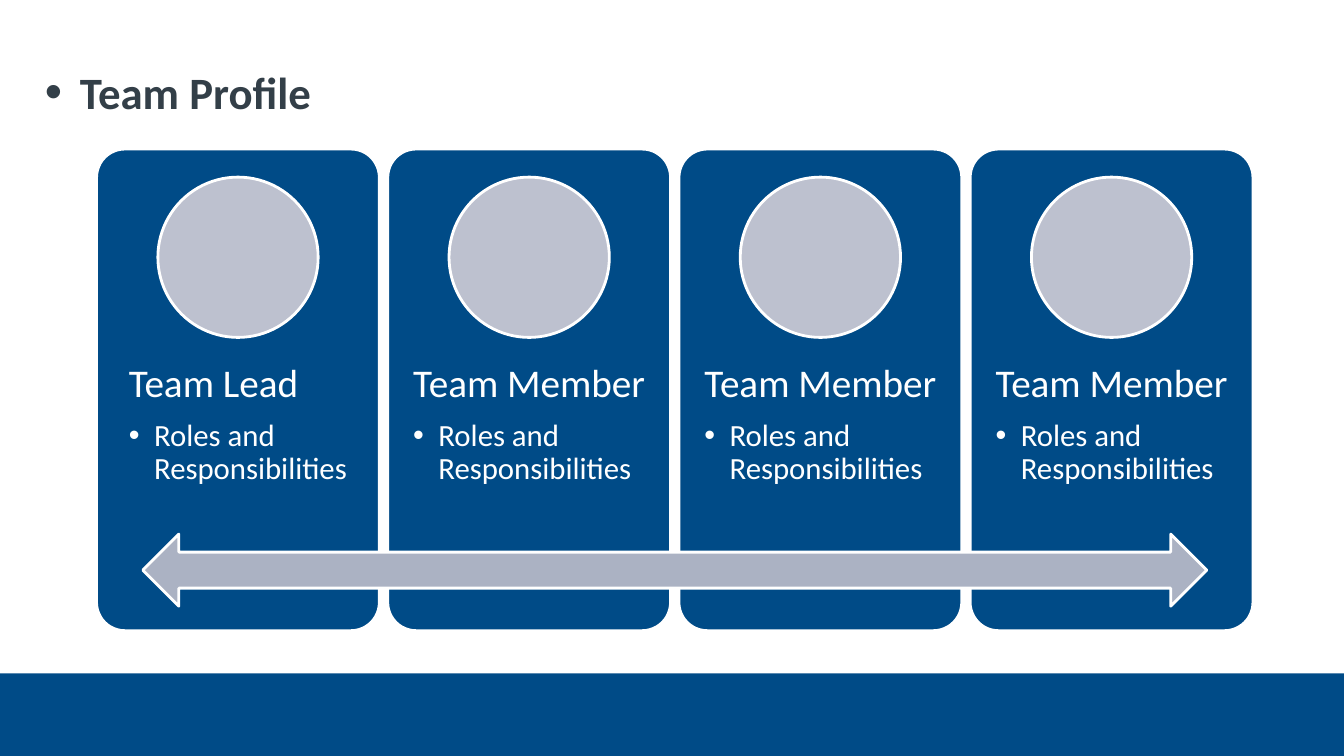
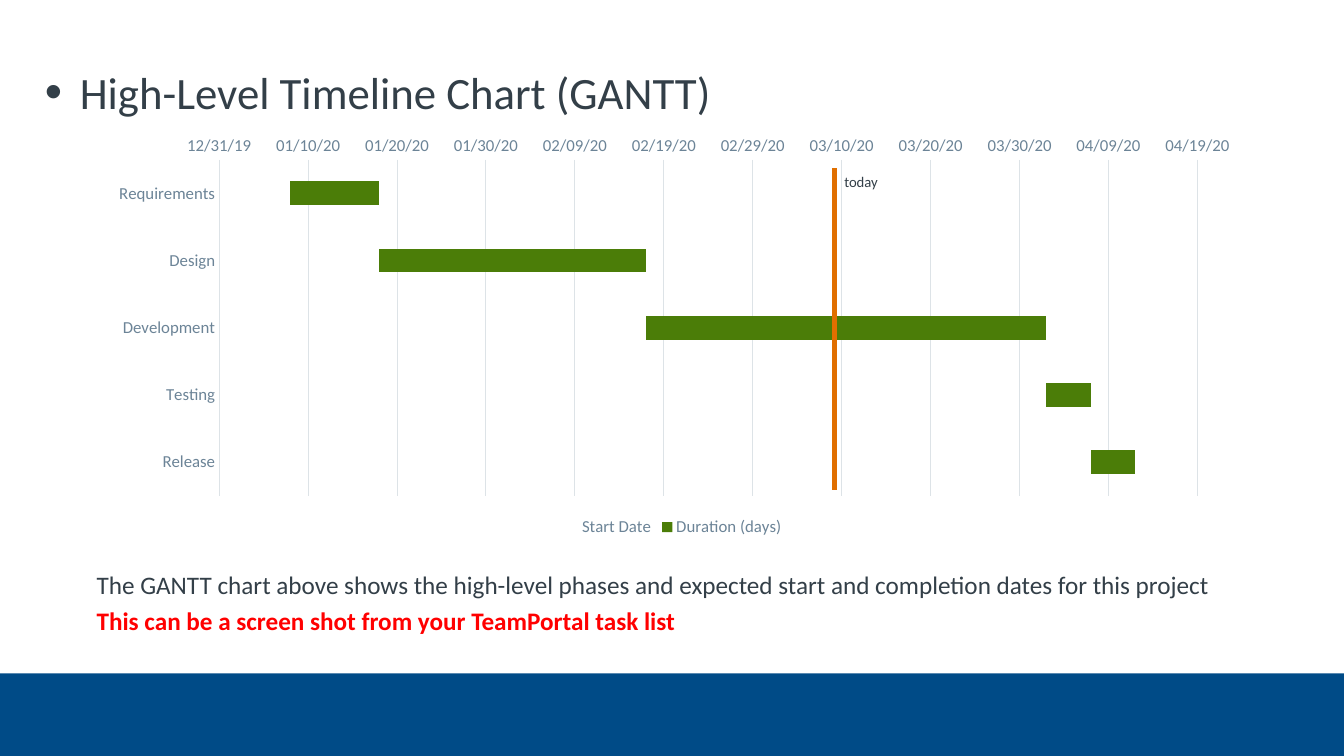
"""Build a team profile slide and a timeline slide."""
import lxml.etree
import pptx
import pptx.chart.data
import pptx.dml.color
import pptx.enum.chart
import pptx.enum.shapes
import pptx.enum.text
import pptx.oxml.ns
import pptx.util

Pt = pptx.util.Pt
RGBColor = pptx.dml.color.RGBColor
qn = pptx.oxml.ns.qn
SHAPES = pptx.enum.shapes.MSO_SHAPE

BLUE = RGBColor(0x00, 0x4B, 0x87)
WHITE = RGBColor(0xFF, 0xFF, 0xFF)
INK = RGBColor(0x33, 0x3F, 0x48)
SILVER = RGBColor(0xBD, 0xC1, 0xCF)
ARROW_GREY = RGBColor(0xAB, 0xB2, 0xC3)
LABEL_GREY = RGBColor(0x6C, 0x84, 0x97)
GRID_GREY = RGBColor(0xDD, 0xE3, 0xE7)
GREEN = RGBColor(0x4B, 0x7D, 0x08)
ORANGE = RGBColor(0xE0, 0x6F, 0x00)
RED = RGBColor(0xFF, 0x00, 0x00)

FONT = "Calibri"
SLIDE_WIDTH, SLIDE_HEIGHT = 960, 540
CONTENT_LEFT, CONTENT_WIDTH = 69, 826
CARD_TOP, CARD_WIDTH, CARD_HEIGHT = 106.5, 202, 344
CIRCLE_SIZE, CIRCLE_TOP = 114.5, 126.5
ROLES = ["Team Lead", "Team Member", "Team Member", "Team Member"]

AXIS_START, AXIS_END, AXIS_STEP = 43830, 43940, 10
TASKS = [
    ("Requirements", 43838, 10),
    ("Design", 43848, 30),
    ("Development", 43878, 45),
    ("Testing", 43923, 5),
    ("Release", 43928, 5),
]


def points(*lengths):
    """Turn numbers into point lengths."""
    return [Pt(length) for length in lengths]


def style_font(font, size, color, bold=False):
    """Set the shared typeface with a size, colour and weight."""
    font.name = FONT
    font.size = Pt(size)
    font.color.rgb = color
    font.bold = bold


def add_run(paragraph, text, size, color, bold=False):
    """Add one left-aligned, formatted run to a paragraph."""
    paragraph.alignment = pptx.enum.text.PP_ALIGN.LEFT
    run = paragraph.add_run()
    run.text = text
    style_font(run.font, size, color, bold)


def set_bullet(paragraph, indent, percent=100):
    """Give a paragraph a hanging round bullet."""
    properties = paragraph._p.get_or_add_pPr()
    properties.set("marL", str(Pt(indent)))
    properties.set("indent", str(-Pt(indent)))
    for tag, name, value in (
        ("a:buSzPct", "val", str(percent * 1000)),
        ("a:buFont", "typeface", "Arial"),
        ("a:buChar", "char", "•"),
    ):
        lxml.etree.SubElement(properties, qn(tag)).set(name, value)


def prepare_frame(frame, inset=0):
    """Make a text frame wrap from the top with equal insets."""
    frame.word_wrap = True
    frame.auto_size = pptx.enum.text.MSO_AUTO_SIZE.NONE
    frame.vertical_anchor = pptx.enum.text.MSO_ANCHOR.TOP
    frame.margin_left = frame.margin_right = Pt(inset)
    frame.margin_top = frame.margin_bottom = Pt(inset)


def add_text_frame(slide, left, top, width, height, inset=0):
    """Add a text box and return its prepared frame."""
    frame = slide.shapes.add_textbox(*points(left, top, width, height)).text_frame
    prepare_frame(frame, inset)
    return frame


def add_block(slide, kind, left, top, width, height, fill, outlined=True):
    """Add a flat filled shape with an optional white outline."""
    shape = slide.shapes.add_shape(kind, *points(left, top, width, height))
    shape.shadow.inherit = False
    shape.fill.solid()
    shape.fill.fore_color.rgb = fill
    if outlined:
        shape.line.color.rgb = WHITE
        shape.line.width = Pt(2)
    else:
        shape.line.fill.background()
    return shape


def add_master_band(presentation, slide):
    """Place the bottom band on the master shared by all slides."""
    top = 481
    band = add_block(slide, SHAPES.RECTANGLE, 0, top, SLIDE_WIDTH,
                     SLIDE_HEIGHT - top, BLUE, outlined=False)
    presentation.slide_master.shapes.element.insert(2, band.element)


def add_titled_slide(presentation, text, bold=False):
    """Add a title-only slide with a bulleted title."""
    slide = presentation.slides.add_slide(presentation.slide_layouts[5])
    title = slide.shapes.title
    title.left, title.top, title.width, title.height = points(32, 46, 863, 45)
    prepare_frame(title.text_frame)
    paragraph = title.text_frame.paragraphs[0]
    add_run(paragraph, text, 32, INK, bold)
    set_bullet(paragraph, 25, 110)
    return slide


def add_card(slide, left, role):
    """Add a team card with a portrait circle, a role and its duties."""
    card = add_block(slide, SHAPES.ROUNDED_RECTANGLE, left, CARD_TOP,
                     CARD_WIDTH, CARD_HEIGHT, BLUE)
    card.adjustments[0] = 0.1
    frame = add_text_frame(slide, left, 244, CARD_WIDTH, 137.5, inset=16)
    frame._txBody.bodyPr.set("anchorCtr", "1")
    heading, duties = frame.paragraphs[0], frame.add_paragraph()
    add_run(heading, role, 28, WHITE)
    add_run(duties, "Roles and Responsibilities", 22, WHITE)
    duties.level = 1
    for paragraph, space in ((heading, 9.8), (duties, 3.3)):
        paragraph.line_spacing = 0.9
        paragraph.space_after = Pt(space)
    set_bullet(duties, 18)
    add_block(slide, SHAPES.OVAL, left + (CARD_WIDTH - CIRCLE_SIZE) / 2,
              CIRCLE_TOP, CIRCLE_SIZE, CIRCLE_SIZE, SILVER)


def set_plot_layout(chart, **fractions):
    """Fix the inner plot area as fractions of the chart."""
    plot_area = chart._chartSpace.chart.plotArea
    for old in plot_area.findall(qn("c:layout")):
        plot_area.remove(old)
    layout = lxml.etree.Element(qn("c:layout"))
    plot_area.insert(0, layout)
    manual = lxml.etree.SubElement(layout, qn("c:manualLayout"))
    settings = [("layoutTarget", "inner"), ("xMode", "edge"), ("yMode", "edge")]
    for tag, value in settings + list(fractions.items()):
        lxml.etree.SubElement(manual, qn("c:" + tag)).set("val", str(value))


def style_line(line, color, width):
    """Set a line's colour and width."""
    line.color.rgb = color
    line.width = Pt(width)


def style_axes(chart):
    """Format the task axis and the date axis."""
    for axis in (chart.category_axis, chart.value_axis):
        axis.major_tick_mark = pptx.enum.chart.XL_TICK_MARK.NONE
        axis.minor_tick_mark = pptx.enum.chart.XL_TICK_MARK.NONE
        style_font(axis.tick_labels.font, 12, LABEL_GREY)
    chart.category_axis.reverse_order = True
    style_line(chart.category_axis.format.line, GRID_GREY, 0.75)
    dates = chart.value_axis
    dates.minimum_scale = AXIS_START
    dates.maximum_scale = AXIS_END
    dates.major_unit = AXIS_STEP
    dates.tick_labels.number_format = "mm/dd/yy;@"
    dates.tick_labels.number_format_is_linked = False
    dates.format.line.fill.background()
    dates.has_major_gridlines = True
    style_line(dates.major_gridlines.format.line, GRID_GREY, 0.75)


def add_gantt(slide):
    """Add the stacked bar chart that shows each task's dates."""
    names, starts, durations = zip(*TASKS)
    data = pptx.chart.data.CategoryChartData()
    data.categories = names
    data.add_series("Start Date", starts)
    data.add_series("Duration (days)", durations)
    chart = slide.shapes.add_chart(
        pptx.enum.chart.XL_CHART_TYPE.BAR_STACKED,
        *points(CONTENT_LEFT, 91.5, CONTENT_WIDTH, 295), data).chart
    style_font(chart.font, 10, INK)
    chart.has_title = False
    chart.has_legend = True
    chart.legend.position = pptx.enum.chart.XL_LEGEND_POSITION.BOTTOM
    chart.legend.include_in_layout = False
    style_font(chart.legend.font, 12, LABEL_GREY)
    plot = chart.plots[0]
    plot.vary_by_categories = False
    plot.gap_width = 182
    plot.overlap = 100
    start, duration = plot.series
    start.format.fill.background()
    start.format.line.fill.background()
    duration.format.fill.solid()
    duration.format.fill.fore_color.rgb = GREEN
    style_axes(chart)
    set_plot_layout(chart, x=0.106, y=0.077, w=0.846, h=0.813)


def add_today_marker(slide, left, top, bottom):
    """Add the vertical line for the current date and its label."""
    line = slide.shapes.add_connector(
        pptx.enum.shapes.MSO_CONNECTOR.STRAIGHT, *points(left, bottom, left, top))
    style_line(line.line, ORANGE, 3.25)
    lxml.etree.SubElement(line.element.spPr, qn("a:effectLst"))
    frame = add_text_frame(slide, left, top, 43, 21)
    frame.margin_left = frame.margin_right = Pt(7.2)
    frame.margin_top = frame.margin_bottom = Pt(3.6)
    add_run(frame.paragraphs[0], "today", 10.5, INK)


def add_caption(slide):
    """Add the explanation below the chart."""
    frame = add_text_frame(slide, CONTENT_LEFT, 407, CONTENT_WIDTH, 58)
    summary, hint = frame.paragraphs[0], frame.add_paragraph()
    add_run(summary, "The GANTT chart above shows the high-level phases and "
            "expected start and completion dates for this project", 18, INK)
    add_run(hint, "This can be a screen shot from your TeamPortal task list",
            18, RED, bold=True)
    for paragraph in (summary, hint):
        paragraph.space_before = Pt(3.6)


def main():
    """Create and save the presentation."""
    presentation = pptx.Presentation()
    presentation.slide_width, presentation.slide_height = points(
        SLIDE_WIDTH, SLIDE_HEIGHT)

    team = add_titled_slide(presentation, "Team Profile", bold=True)
    add_master_band(presentation, team)
    pitch = (CONTENT_WIDTH - CARD_WIDTH) / (len(ROLES) - 1)
    for index, role in enumerate(ROLES):
        add_card(team, CONTENT_LEFT + index * pitch, role)
    add_block(team, SHAPES.LEFT_RIGHT_ARROW, 102, 381.5, 760, 51.5, ARROW_GREY)

    timeline = add_titled_slide(presentation, "High-Level Timeline Chart (GANTT)")
    add_caption(timeline)
    add_gantt(timeline)
    add_today_marker(timeline, 596, 120, 350)

    presentation.save("out.pptx")


if __name__ == "__main__":
    main()
